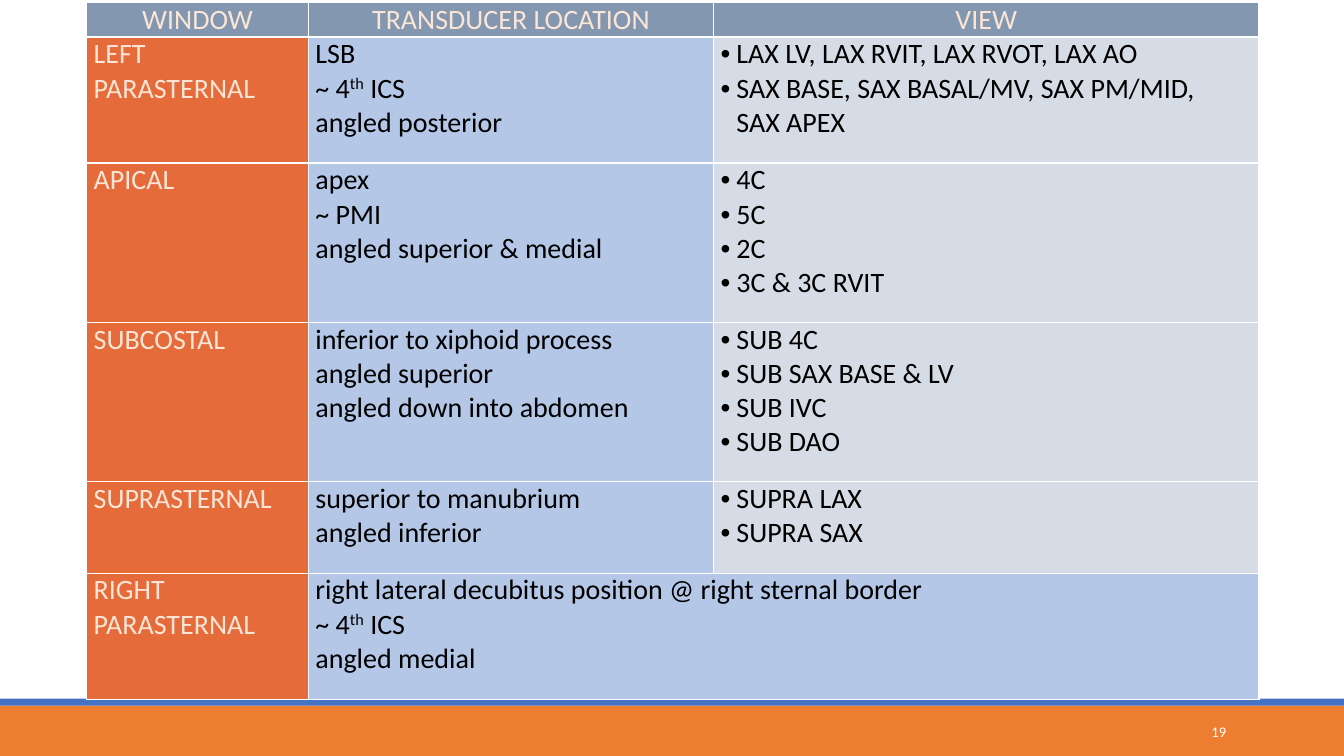
from lxml.etree import SubElement
from pptx import Presentation
from pptx.dml.color import RGBColor
from pptx.enum.shapes import MSO_SHAPE
from pptx.enum.text import MSO_ANCHOR, PP_ALIGN
from pptx.oxml.ns import qn
from pptx.util import Pt

WIDTH, HEIGHT = 960, 540
COLUMNS = [158.4, 289.44, 389.52]
ROWS = [24.48, 90, 113.76, 113.76, 65.52, 90]
HEADER = ["WINDOW", "TRANSDUCER LOCATION", "VIEW"]
# ^ encloses superscript text, \v breaks a line inside a bullet
WINDOWS = [
    ("LEFT PARASTERNAL",
     ["LSB", "~ 4^th^ ICS", "angled posterior"],
     ["LAX LV, LAX RVIT, LAX RVOT, LAX AO",
      "SAX BASE, SAX BASAL/MV, SAX PM/MID,\vSAX APEX"]),
    ("APICAL",
     ["apex", "~ PMI", "angled superior & medial"],
     ["4C", "5C", "2C", "3C & 3C RVIT"]),
    ("SUBCOSTAL",
     ["inferior to xiphoid process", "angled superior", "angled down into abdomen"],
     ["SUB 4C", "SUB SAX BASE & LV", "SUB IVC", "SUB DAO"]),
    ("SUPRASTERNAL",
     ["superior to manubrium", "angled inferior"],
     ["SUPRA LAX", "SUPRA SAX"]),
    ("RIGHT PARASTERNAL",
     ["right lateral decubitus position @ right sternal border",
      "~ 4^th^ ICS", "angled medial"],
     None),
]
PALE, BLACK, WHITE = "FBE5D6", "000000", "FFFFFF"
HEADER_STYLE = {"fill": "8497B0", "color": PALE, "align": PP_ALIGN.CENTER}
COLUMN_STYLES = [
    {"fill": "E66B3A", "color": PALE},
    {"fill": "B4C7E7", "color": BLACK},
    {"fill": "D6DCE5", "color": BLACK, "bullet": True},
]


def rgb(value):
    return RGBColor.from_string(value)


def set_format(target, values):
    for name, value in values.items():
        setattr(target, name, value)


def set_font(font, size, color):
    set_format(font, {"name": "Calibri", "size": Pt(size), "bold": False})
    font.color.rgb = rgb(color)


def add_bullet(p):
    pPr = p._p.get_or_add_pPr()
    pPr.set("marL", str(Pt(11.3)))
    pPr.set("indent", str(-Pt(11.3)))
    SubElement(pPr, qn("a:buFont"), typeface="Arial")
    SubElement(pPr, qn("a:buChar"), char="•")


def add_runs(p, text, color):
    for i, line in enumerate(text.split("\v")):
        if i:
            p.add_line_break()
        for j, part in enumerate(line.split("^")):
            r = p.add_run()
            r.text = part
            set_font(r.font, 20, color)
            if j % 2:
                r.font._element.set("baseline", "30000")


def add_borders(cell):
    tcPr = cell._tc.get_or_add_tcPr()
    for side in ("lnL", "lnR", "lnT", "lnB"):
        ln = SubElement(tcPr, qn(f"a:{side}"), w=str(Pt(1)))
        fill = SubElement(ln, qn("a:solidFill"))
        SubElement(fill, qn("a:srgbClr"), val=WHITE)


def style_cell(cell, fill):
    set_format(cell, {"margin_left": Pt(5), "margin_right": Pt(5),
                      "margin_top": 0, "margin_bottom": 0})
    add_borders(cell)
    cell.fill.solid()
    cell.fill.fore_color.rgb = rgb(fill)


def fill_cell(cell, lines, fill, color, align=PP_ALIGN.LEFT, bullet=False):
    style_cell(cell, fill)
    tf = cell.text_frame
    for i, line in enumerate(lines):
        p = tf.add_paragraph() if i else tf.paragraphs[0]
        p.alignment = align
        if bullet:
            add_bullet(p)
        add_runs(p, line, color)


def add_window_table(s, left, top):
    frame = s.shapes.add_table(len(ROWS), len(COLUMNS), Pt(left), Pt(top),
                               Pt(sum(COLUMNS)), Pt(sum(ROWS)))
    table = frame.table
    set_format(table, {"first_row": False, "horz_banding": False})
    for column, width in zip(table.columns, COLUMNS):
        column.width = Pt(width)
    for row, height in zip(table.rows, ROWS):
        row.height = Pt(height)
    for c, title in enumerate(HEADER):
        fill_cell(table.cell(0, c), [title], **HEADER_STYLE)
    for r, (window, location, views) in enumerate(WINDOWS, 1):
        for c, lines in enumerate(([window], location, views)):
            if lines is None:
                style_cell(table.cell(r, c), COLUMN_STYLES[c - 1]["fill"])
                table.cell(r, c - 1).merge(table.cell(r, c))
            else:
                fill_cell(table.cell(r, c), lines, **COLUMN_STYLES[c])


def add_band(s, top, height, color):
    sp = s.shapes.add_shape(MSO_SHAPE.RECTANGLE, 0, Pt(top), Pt(WIDTH), Pt(height))
    sp.shadow.inherit = False
    sp.fill.solid()
    sp.fill.fore_color.rgb = rgb(color)
    sp.line.fill.background()


def add_footer(s, top, number):
    add_band(s, top, HEIGHT - top, "ED7D31")
    add_band(s, top - 5, 5, "4472C4")
    sp = s.shapes.add_textbox(Pt(780), Pt(top + 4.5), Pt(103), Pt(28.8))
    tf = sp.text_frame
    set_format(tf, {"word_wrap": True, "vertical_anchor": MSO_ANCHOR.MIDDLE})
    p = tf.paragraphs[0]
    p.alignment = PP_ALIGN.RIGHT
    r = p.add_run()
    r.text = number
    set_font(r.font, 10.5, WHITE)


def main():
    prs = Presentation()
    set_format(prs, {"slide_width": Pt(WIDTH), "slide_height": Pt(HEIGHT)})
    s = prs.slides.add_slide(prs.slide_layouts[6])
    add_footer(s, 504, "19")
    add_window_table(s, 61.9, 2)
    prs.save("out.pptx")


if __name__ == "__main__":
    main()
